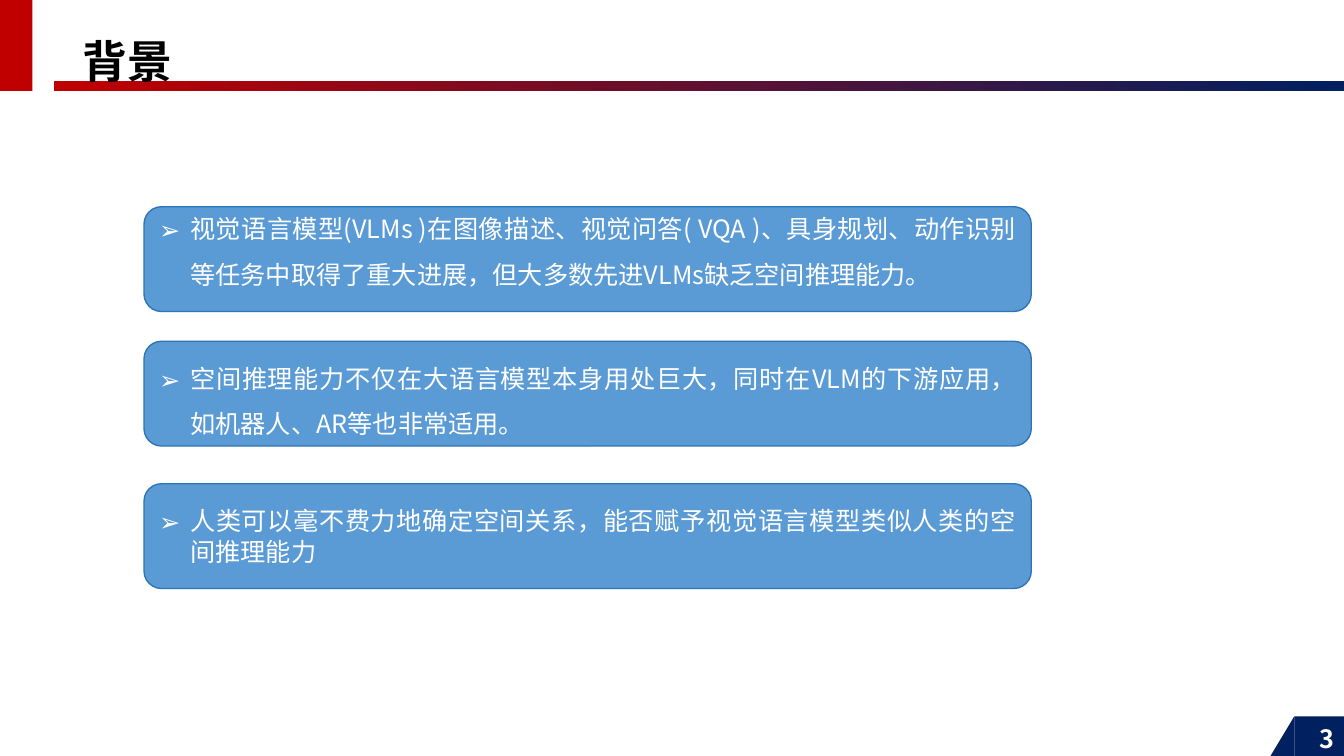
from lxml import etree
from pptx import Presentation
from pptx.dml.color import RGBColor
from pptx.enum import shapes, text
from pptx.oxml.ns import qn
from pptx.util import Cm, Pt

FONT = "Noto Sans CJK SC"
RED, NAVY, WHITE = "C00000", "002060", "FFFFFF"


def add_block(kind, left, top, width, height, fill, line=None):
    sp = s.shapes.add_shape(kind, Cm(left), Cm(top), Cm(width), Cm(height))
    sp.shadow.inherit = False
    sp.fill.solid()
    sp.fill.fore_color.rgb = RGBColor.from_string(fill)
    if line:
        sp.line.color.rgb = RGBColor.from_string(line)
        sp.line.width = Pt(1)
    else:
        sp.line.fill.background()
    return sp


def write(sp, words, size=18, color=WHITE, bold=False, align=text.PP_ALIGN.LEFT,
          spacing=1.0, bullet=None):
    tf = sp.text_frame
    tf.word_wrap = True
    tf.vertical_anchor = text.MSO_ANCHOR.MIDDLE
    p = tf.paragraphs[0]
    p.alignment = align
    p.line_spacing = spacing
    if bullet:
        pPr = p._p.get_or_add_pPr()
        pPr.set("marL", str(Cm(0.79)))
        pPr.set("indent", str(Cm(-0.79)))
        etree.SubElement(pPr, qn("a:buFont")).set("typeface", "Wingdings" if bullet == "Ø" else FONT)
        etree.SubElement(pPr, qn("a:buChar")).set("char", bullet)
    r = p.add_run()
    r.text = words
    r.font.size = Pt(size)
    r.font.bold = bold
    r.font.name = FONT
    r.font.color.rgb = RGBColor.from_string(color)
    etree.SubElement(r._r.get_or_add_rPr(), qn("a:ea")).set("typeface", FONT)


prs = Presentation()
prs.slide_width, prs.slide_height = Cm(33.87), Cm(19.05)
s = prs.slides.add_slide(prs.slide_layouts[6])
kinds = shapes.MSO_SHAPE

# Page number corner
add_block(kinds.RECTANGLE, 32.62, 18.05, 1.25, 1, NAVY)
corner = add_block(kinds.RIGHT_TRIANGLE, 32.02, 18.05, 0.6, 1, NAVY)
corner._element.spPr.find(qn("a:xfrm")).set("flipH", "1")
number = s.shapes.add_textbox(Cm(28.15), Cm(18.09), Cm(5.72), Cm(1.02))
write(number, "3", bold=True, align=text.PP_ALIGN.RIGHT)

# Header: red block and gradient rule
add_block(kinds.RECTANGLE, 0, 0, 0.82, 2.29, RED)
rule = add_block(kinds.RECTANGLE, 1.36, 2.04, 32.51, 0.25, RED)
rule.fill.gradient()
rule.fill.gradient_angle = 0
for stop, color in zip(rule.fill.gradient_stops, (RED, NAVY)):
    stop.color.rgb = RGBColor.from_string(color)

# Title
title = s.shapes.add_textbox(Cm(1.83), Cm(0.71), Cm(25.07), Cm(1.83))
write(title, "背景", size=32, color="000000", bold=True, spacing=0.9)

# Background points: top, line spacing, bottom inset, words
points = [
    (5.21, 1.5, 0.89, "视觉语言模型(VLMs )在图像描述、视觉问答( VQA )、具身规划、动作识别等任务中取得了重大进展，但大多数先进VLMs缺乏空间推理能力。"),
    (8.6, 1.5, 0.13, "空间推理能力不仅在大语言模型本身用处巨大，同时在VLM的下游应用，如机器人、AR等也非常适用。"),
    (12.19, 1.0, 0.13, "人类可以毫不费力地确定空间关系，能否赋予视觉语言模型类似人类的空间推理能力"),
]
for top, spacing, inset, words in points:
    sp = add_block(kinds.ROUNDED_RECTANGLE, 3.63, top, 22.36, 2.64, "5B9BD5", "2E75B6")
    sp.text_frame.margin_bottom = Cm(inset)
    write(sp, words, align=text.PP_ALIGN.JUSTIFY, spacing=spacing, bullet="➢")

prs.save("out.pptx")
